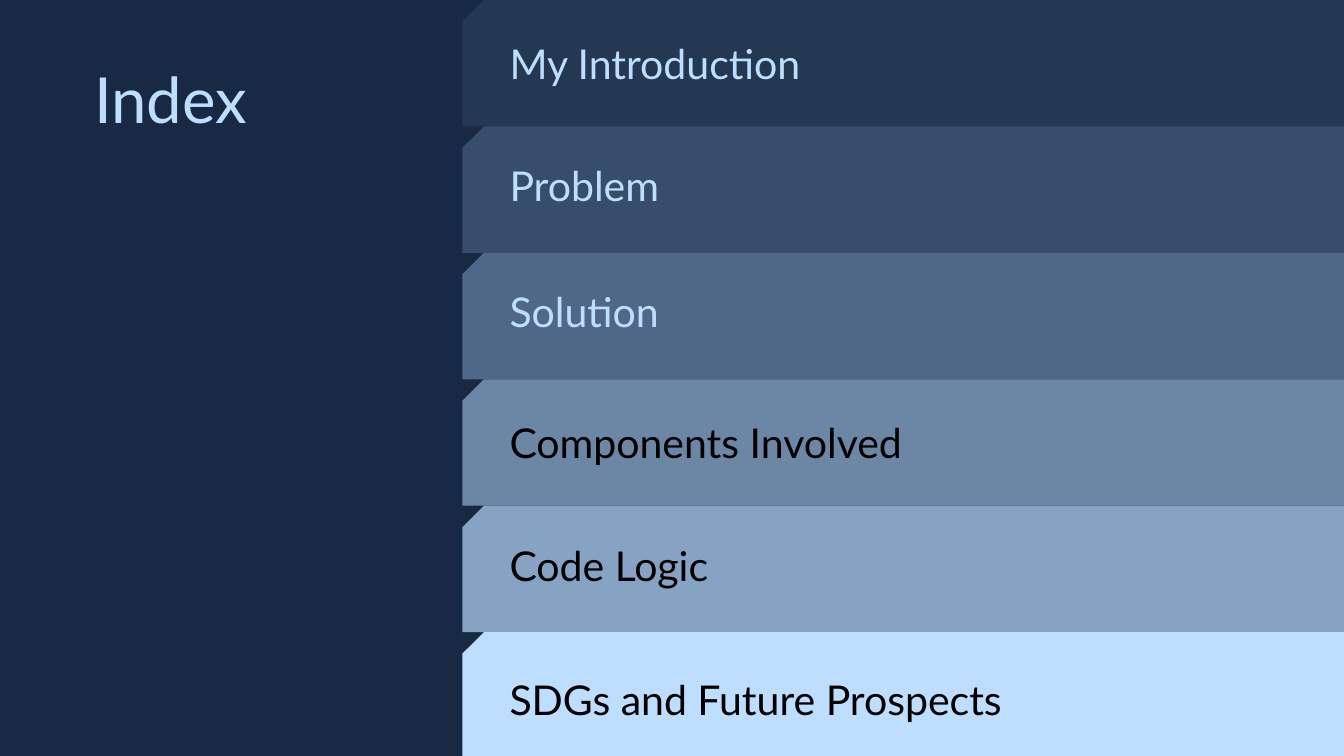
import pptx
import pptx.util
import pptx.dml.color
import pptx.enum.shapes
import pptx.enum.text
import pptx.oxml.ns

Cm = pptx.util.Cm
Pt = pptx.util.Pt
RGBColor = pptx.dml.color.RGBColor
Anchor = pptx.enum.text.MSO_ANCHOR

NAVY = RGBColor(0x18, 0x2A, 0x43)
ICE = RGBColor(0xBE, 0xDE, 0xFF)
BLACK = RGBColor(0, 0, 0)
INK = RGBColor(0x25, 0x38, 0x51)
DUSK = RGBColor(0x36, 0x4D, 0x6C)
SLATE = RGBColor(0x4F, 0x68, 0x87)
STEEL = RGBColor(0x6C, 0x87, 0xA6)
MIST = RGBColor(0x86, 0xA3, 0xC3)

LEFT = 8.74
WIDTH = 16.66
STEP = 2.39
INDENT = 9.63
ROWS = [
    ("My Introduction", INK, ICE, 0.64, 5.82),
    ("Problem", DUSK, ICE, 2.95, 3.2),
    ("Solution", SLATE, ICE, 5.33, 15.72),
    ("Components Involved", STEEL, BLACK, 7.8, 15.72),
    ("Code Logic", MIST, BLACK, 10.13, 15.72),
    ("SDGs and Future Prospects", ICE, BLACK, 12.67, 15.72),
]


class Page:
    font = "Lato"

    def __init__(self, slide):
        self.slide = slide
        fill = slide.background.fill
        fill.solid()
        fill.fore_color.rgb = NAVY

    def band(self, top, color):
        shape = self.slide.shapes.add_shape(
            pptx.enum.shapes.MSO_SHAPE.SNIP_1_RECTANGLE,
            Cm(LEFT), Cm(top), Cm(WIDTH), Cm(STEP))
        shape.adjustments[0] = 0.17
        shape.shadow.inherit = False
        shape.fill.solid()
        shape.fill.fore_color.rgb = color
        shape.line.fill.background()
        frame = shape._element.spPr.find(pptx.oxml.ns.qn("a:xfrm"))
        frame.set("flipH", "1")

    def label(self, text, left, top, width, height, size, color, anchor):
        box = self.slide.shapes.add_textbox(
            Cm(left), Cm(top), Cm(width), Cm(height))
        frame = box.text_frame
        frame.word_wrap = True
        frame.vertical_anchor = anchor
        frame.margin_left = frame.margin_top = frame.margin_bottom = 0
        frame.margin_right = Cm(0.25)
        line = frame.paragraphs[0]
        line.text = text
        line.line_spacing = 0.8
        line.font.name = self.font
        line.font.size = Pt(size)
        line.font.color.rgb = color


def main():
    deck = pptx.Presentation()
    deck.slide_width = Cm(25.4)
    deck.slide_height = Cm(14.29)
    page = Page(deck.slides.add_slide(deck.slide_layouts[6]))

    for row, (text, fill, color, top, width) in enumerate(ROWS):
        page.band(row * STEP, fill)
    page.label("Index", 1.78, 1.42, 3.28, 1.07, 34, ICE, Anchor.TOP)
    for text, fill, color, top, width in ROWS:
        page.label(text, INDENT, top, width, 1.27, 22, color, Anchor.MIDDLE)

    deck.save("out.pptx")


if __name__ == "__main__":
    main()
